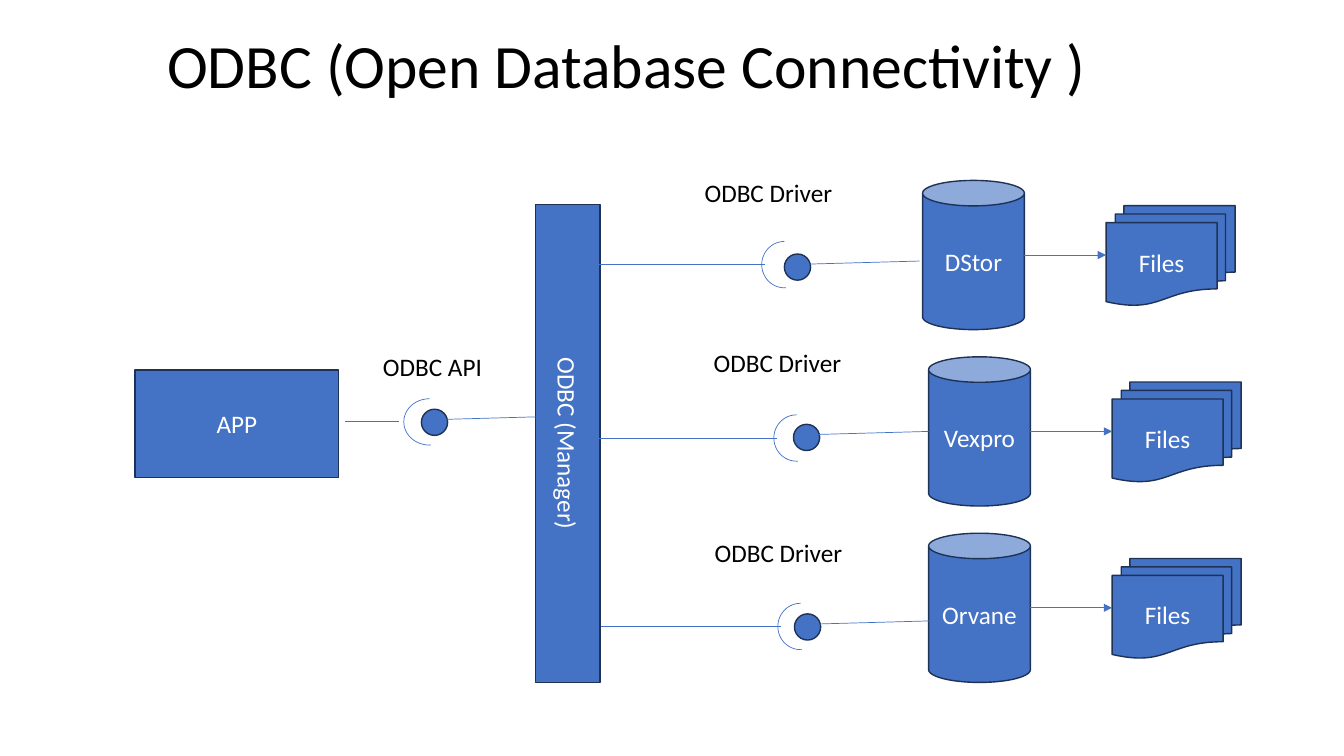
from pptx import Presentation
from pptx.dml.color import RGBColor
from pptx.enum.shapes import MSO_CONNECTOR, MSO_SHAPE
from pptx.enum.text import MSO_ANCHOR, PP_ALIGN
from pptx.oxml.ns import qn
from pptx.util import Inches, Pt
from lxml import etree

RECT, OVAL, ARC = MSO_SHAPE.RECTANGLE, MSO_SHAPE.OVAL, MSO_SHAPE.ARC
CAN, DOCS = MSO_SHAPE.CAN, MSO_SHAPE.FLOWCHART_MULTIDOCUMENT
STRAIGHT = MSO_CONNECTOR.STRAIGHT
MIDDLE, CENTER, LEFT = MSO_ANCHOR.MIDDLE, PP_ALIGN.CENTER, PP_ALIGN.LEFT
BLUE, NAVY, WHITE, BLACK = "4472C4", "1E3256", "FFFFFF", "000000"
FONT = "Calibri"
ARC_START = 105.874

ROW_TOP, ROW_STEP = 1.79, 1.75
CAN_W, CAN_H = 1.01, 1.48
FILES_DX, FILES_DY = 1.82, 0.25
BALL = 0.26


def rgb(color):
    """Return the colour for a hex string."""
    return RGBColor.from_string(color)


def write(tf, text, size, color, align):
    """Put one styled paragraph into a text frame."""
    p = tf.paragraphs[0]
    p.text, p.alignment = text, align
    p.font.name, p.font.size = FONT, Pt(size)
    p.font.color.rgb = rgb(color)
    return p


def add_label(s, x, y, w, h, text, size=18, wrap=False):
    """Add a black text box and return its frame and paragraph."""
    tf = s.shapes.add_textbox(Inches(x), Inches(y), Inches(w), Inches(h)).text_frame
    tf.word_wrap = wrap
    return tf, write(tf, text, size, BLACK, LEFT)


def add_block(s, kind, x, y, w, h, text=""):
    """Add a filled preset shape with centred white text."""
    sp = s.shapes.add_shape(kind, Inches(x), Inches(y), Inches(w), Inches(h))
    sp.shadow.inherit = False
    sp.fill.solid()
    sp.fill.fore_color.rgb = rgb(BLUE)
    sp.line.color.rgb = rgb(NAVY)
    sp.line.width = Pt(1)
    if text:
        sp.text_frame.vertical_anchor = MIDDLE
        write(sp.text_frame, text, 18, WHITE, CENTER)
    return sp


def add_line(s, x1, y1, x2, y2, arrow=False):
    """Add a thin blue line, with an arrowhead at its end if asked."""
    cx = s.shapes.add_connector(STRAIGHT, Inches(x1), Inches(y1), Inches(x2), Inches(y2))
    cx.line.color.rgb = rgb(BLUE)
    cx.line.width = Pt(0.5)
    if arrow:
        etree.SubElement(cx.line._get_or_add_ln(), qn("a:tailEnd"), type="triangle")
    etree.SubElement(cx._element.spPr, qn("a:effectLst"))


def add_socket(s, x, y, w, h, reach, gap):
    """Add a half-circle socket and the line that runs up to it."""
    sp = s.shapes.add_shape(ARC, Inches(x), Inches(y), Inches(w), Inches(h))
    sp.shadow.inherit = False
    sp.adjustments[0], sp.adjustments[1] = ARC_START, 0
    sp.rotation = 270
    sp.fill.background()
    sp.line.color.rgb = rgb(BLUE)
    sp.line.width = Pt(0.5)
    mid = y + h / 2
    add_line(s, x - reach, mid, x + gap, mid)


def add_interface(s, x, y, text, label_dx, label_dy, label_w):
    """Add a labelled ball with its outgoing line, the ball at x, y."""
    add_label(s, x + label_dx, y + label_dy, label_w, 0.4, text)
    add_block(s, OVAL, x, y, BALL, BALL)
    add_line(s, x + 0.25, y + 0.1, x + 1.34, y + 0.07)


def add_database(s, x, y, name):
    """Add a database, its files and the arrow between them."""
    add_block(s, CAN, x, y, CAN_W, CAN_H, name)
    add_block(s, DOCS, x + FILES_DX, y + FILES_DY, 1.28, 0.99, "Files")
    mid = y + CAN_H / 2
    add_line(s, x + CAN_W, mid, x + FILES_DX, mid, arrow=True)


def add_title(s, x, y, w, h):
    """Add the slide title in the given box."""
    tf, p = add_label(s, x, y, w, h, "ODBC (Open Database Connectivity )", 44, True)
    tf.vertical_anchor = MIDDLE
    p.line_spacing = 0.9


def add_client(s, x, y):
    """Add the application and its API interface."""
    add_block(s, RECT, x, y, 2.02, 1.07, "APP")
    add_socket(s, x + 2.69, y + 0.26, 0.46, 0.51, 0.61, -0.07)
    add_interface(s, x + 2.84, y + 0.39, "ODBC API", -0.48, -0.62, 1.19)


def add_manager(s, x, y, w, h):
    """Add the manager bar with its text turned downwards."""
    sp = add_block(s, RECT, x, y, w, h, "ODBC (Manager)")
    sp._element.txBody.find(qn("a:bodyPr")).set("vert", "vert")


def main():
    """Build and save the slide."""
    prs = Presentation()
    prs.slide_width, prs.slide_height = Inches(13.33), Inches(7.5)
    s = prs.slides.add_slide(prs.slide_layouts[6])
    add_title(s, 1.56, 0.22, 11.5, 0.92)
    add_manager(s, 5.31, 2.03, 0.64, 4.74)
    add_client(s, 1.34, 3.67)
    rows = [
        ("DStor", 9.15, (7.78, 2.52), (7.55, 2.4)),
        ("Vexpro", 9.21, (7.87, 4.21), (7.67, 4.12)),
        ("Orvane", 9.21, (7.88, 6.09), (7.71, 5.99)),
    ]
    for i, (name, left, ball, socket) in enumerate(rows):
        add_database(s, left, ROW_TOP + i * ROW_STEP, name)
        add_interface(s, *ball, "ODBC Driver", -0.89, -0.81, 1.48)
        add_socket(s, *socket, 0.46, 0.45, 1.75, 0.04)
    prs.save("out.pptx")


if __name__ == "__main__":
    main()
